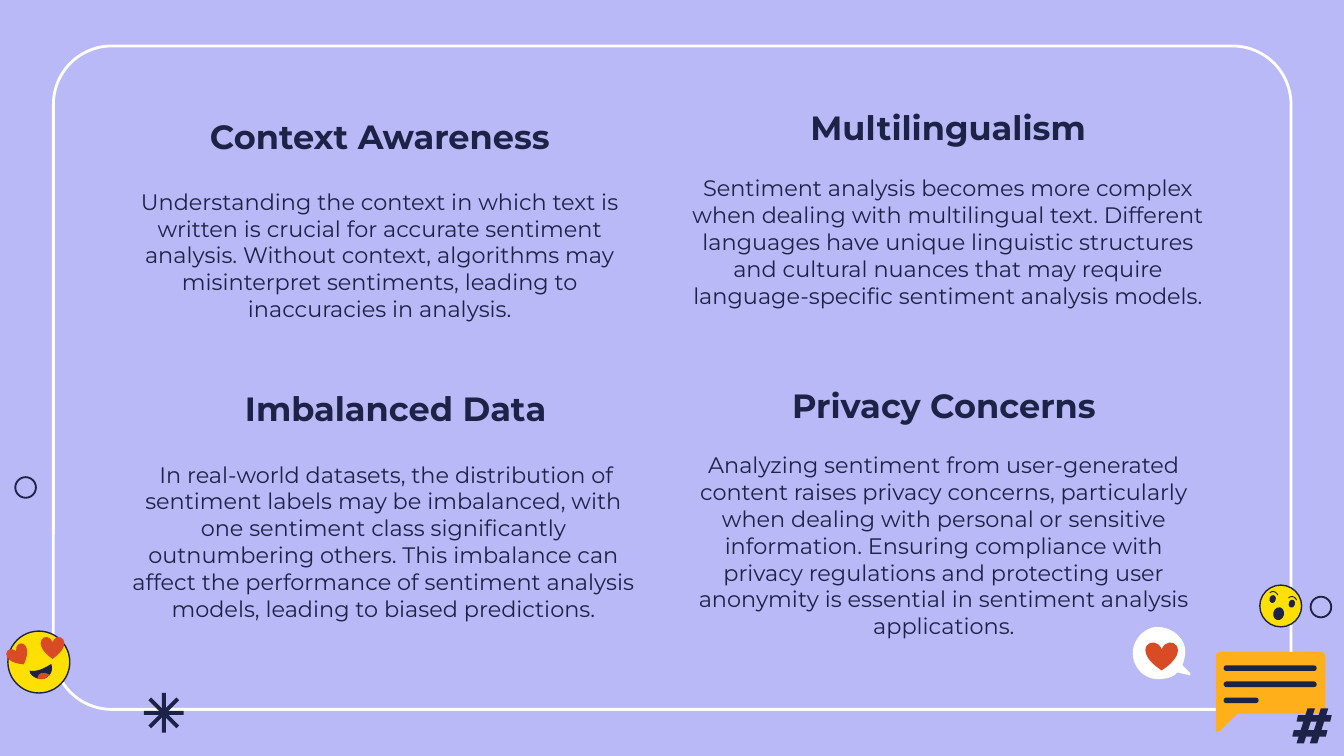
from dataclasses import dataclass

from pptx import Presentation
from pptx.dml.color import RGBColor
from pptx.enum.shapes import MSO_SHAPE
from pptx.enum.text import MSO_ANCHOR, PP_ALIGN
from pptx.util import Cm, Pt

RECTANGLE = MSO_SHAPE.RECTANGLE
ROUNDED = MSO_SHAPE.ROUNDED_RECTANGLE
OVAL = MSO_SHAPE.OVAL
HEART = MSO_SHAPE.HEART
TOP, BOTTOM = MSO_ANCHOR.TOP, MSO_ANCHOR.BOTTOM
CENTER = PP_ALIGN.CENTER

FONT = "Montserrat"
LAVENDER, WHITE, NAVY = "B9B9F7", "FFFFFF", "1D2346"
YELLOW, ORANGE, RED = "FFE002", "FFAF1A", "D84B25"

TEXT_WIDTH, HEADING_HEIGHT, BODY_HEIGHT = 10.34, 1.14, 3.48

# Heading, heading corner, body corner (cm), body text
TOPICS = [
    ("Context Awareness", (2.01, 2.06), (2.01, 3.3),
     "Understanding the context in which text is written is crucial for accurate "
     "sentiment analysis. Without context, algorithms may misinterpret sentiments, "
     "leading to inaccuracies in analysis."),
    ("Multilingualism", (12.75, 1.9), (12.75, 3.05),
     "Sentiment analysis becomes more complex when dealing with multilingual text. "
     "Different languages have unique linguistic structures and cultural nuances that "
     "may require language-specific sentiment analysis models."),
    ("Imbalanced Data", (2.31, 7.21), (2.08, 8.46),
     " In real-world datasets, the distribution of sentiment labels may be imbalanced, "
     "with one sentiment class significantly outnumbering others. This imbalance can "
     "affect the performance of sentiment analysis models, leading to biased predictions."),
    ("Privacy Concerns", (12.67, 7.14), (12.67, 8.28),
     "Analyzing sentiment from user-generated content raises privacy concerns, "
     "particularly when dealing with personal or sensitive information. Ensuring "
     "compliance with privacy regulations and protecting user anonymity is essential "
     "in sentiment analysis applications."),
]


@dataclass
class Box:
    """A rectangle in centimetres."""
    left: float
    top: float
    width: float
    height: float

    def point(self, x, y):
        """Turn fractions of the box into a position on the page."""
        return Cm(self.left + x * self.width), Cm(self.top + y * self.height)

    def inner(self, x, y, width, height):
        """Turn fractions of the box into a smaller box."""
        return Box(self.left + x * self.width, self.top + y * self.height,
                   width * self.width, height * self.height)

    def lengths(self):
        return Cm(self.left), Cm(self.top), Cm(self.width), Cm(self.height)


def color(value):
    return RGBColor.from_string(value)


def paint(shape, fill=None, line=None, weight=0.75):
    shape.shadow.inherit = False
    if fill:
        shape.fill.solid()
        shape.fill.fore_color.rgb = color(fill)
    else:
        shape.fill.background()
    if line:
        shape.line.color.rgb = color(line)
        shape.line.width = Pt(weight)
    else:
        shape.line.fill.background()


def add_preset(page, kind, box, fill=None, line=None, weight=0.75, rotation=0):
    shape = page.shapes.add_shape(kind, *box.lengths())
    shape.rotation = rotation
    paint(shape, fill, line, weight)
    return shape


def add_outline(page, box, start, steps, fill=None, line=None, weight=0.75):
    """Draw steps of 2 numbers (line) or 6 (Bézier curve), as fractions of the box."""
    points, (x0, y0) = [], start
    for step in steps:
        if len(step) == 6:
            x1, y1, x2, y2, x3, y3 = step
            for t in (i / 12 for i in range(1, 12)):
                a, b, c, d = (1 - t) ** 3, 3 * t * (1 - t) ** 2, 3 * t * t * (1 - t), t ** 3
                points.append((a * x0 + b * x1 + c * x2 + d * x3,
                               a * y0 + b * y1 + c * y2 + d * y3))
        x0, y0 = step[-2:]
        points.append((x0, y0))
    builder = page.shapes.build_freeform(*box.point(*start))
    builder.add_line_segments([box.point(*point) for point in points], close=fill is not None)
    paint(builder.convert_to_shape(), fill, line, weight)


def add_text(page, box, text, size, bold, anchor):
    frame = page.shapes.add_textbox(*box.lengths()).text_frame
    frame.word_wrap = True
    frame.vertical_anchor = anchor
    frame.margin_left = frame.margin_right = Cm(0.25)
    frame.margin_top = frame.margin_bottom = Cm(0.25)
    para = frame.paragraphs[0]
    para.alignment = CENTER
    span = para.add_run()
    span.text = text
    span.font.name, span.font.size, span.font.bold = FONT, Pt(size), bold
    span.font.color.rgb = color(NAVY)


def add_frame(page, box):
    frame = add_preset(page, ROUNDED, box, line=WHITE, weight=1.5)
    frame.adjustments[0] = 0.088


def add_loving_face(page, box):
    add_preset(page, OVAL, box, YELLOW, NAVY)
    add_preset(page, HEART, box.inner(0, 0.23, 0.35, 0.33), RED, rotation=-30)
    add_preset(page, HEART, box.inner(0.53, 0.09, 0.38, 0.36), RED)
    add_outline(page, box, (0.7, 0.53), [
        (0.74, 0.64, 0.68, 0.73, 0.59, 0.77), (0.48, 0.79, 0.4, 0.74, 0.36, 0.68),
        (0.35, 0.64), (0.48, 0.66, 0.59, 0.6, 0.7, 0.53)], NAVY)
    add_outline(page, box, (0.55, 0.68), [
        (0.59, 0.67, 0.63, 0.68, 0.68, 0.71), (0.63, 0.74, 0.62, 0.75, 0.59, 0.77),
        (0.55, 0.78, 0.51, 0.78, 0.48, 0.77), (0.48, 0.72, 0.51, 0.68, 0.55, 0.68)], RED)


def add_surprised_face(page, box):
    add_preset(page, OVAL, box, YELLOW, NAVY)
    for feature in ((0.32, 0.53, 0.26, 0.31), (0.69, 0.35, 0.15, 0.19), (0.23, 0.24, 0.15, 0.19)):
        add_preset(page, OVAL, box.inner(*feature), NAVY, rotation=14)
    for x, y in ((0.24, 0.19), (0.69, 0.31)):
        brow = (x + 0.05, y - 0.06, x + 0.15, y - 0.04, x + 0.19, y + 0.05)
        add_outline(page, box, (x, y), [brow], line=NAVY, weight=0.5)


def add_message(page, box):
    add_outline(page, box, (1, 0.07), [
        (1, 0.7), (1, 0.74, 0.98, 0.77, 0.95, 0.77),
        (0.22, 0.77), (0.21, 0.77, 0.2, 0.77, 0.19, 0.78),
        (0.04, 0.98), (0.02, 1, 0, 1, 0, 0.97),
        (0, 0.07), (0, 0.03, 0.01, 0, 0.05, 0),
        (0.95, 0), (0.98, 0, 1, 0.03, 1, 0.07)], ORANGE)
    for row, width in enumerate((0.85, 0.85, 0.32)):
        bar = add_preset(page, ROUNDED, box.inner(0.07, 0.17 + 0.2 * row, width, 0.07), NAVY)
        bar.adjustments[0] = 0.5


def add_hash(page, box):
    for x in (0.38, 0.72):
        add_outline(page, box, (x, 0),
                    [(x + 0.19, 0), (x - 0.09, 1), (x - 0.28, 1), (x, 0)], NAVY)
    for x, y in ((0.14, 0.19), (0.03, 0.62)):
        add_outline(page, box, (x, y), [(x + 0.86, y), (x + 0.82, y + 0.19),
                                        (x - 0.04, y + 0.19), (x, y)], NAVY)


def add_asterisk(page, box):
    for angle in (0, 45, 90, 135):
        add_preset(page, RECTANGLE, box.inner(0, 0.45, 1, 0.1), NAVY, rotation=angle)


def add_like(page, box):
    add_outline(page, box, (0.35, 0), [
        (0.56, -0.04, 0.77, 0.08, 0.86, 0.26), (0.94, 0.41, 0.91, 0.57, 0.86, 0.72),
        (1, 0.88), (1, 0.91, 0.98, 0.93, 0.97, 0.91),
        (0.77, 0.86), (0.72, 0.93, 0.63, 0.97, 0.53, 0.98),
        (0.33, 1.02, 0.14, 0.92, 0.05, 0.72), (-0.09, 0.44, 0.07, 0.08, 0.35, 0)], WHITE)
    add_preset(page, HEART, box.inner(0.22, 0.28, 0.56, 0.54), RED)


def add_topic(page, heading_box, body_box, heading, body):
    add_text(page, body_box, body, 12, False, TOP)
    add_text(page, heading_box, heading, 18, True, BOTTOM)


def main():
    deck = Presentation()
    deck.slide_width, deck.slide_height = Cm(25.4), Cm(14.29)
    page = deck.slides.add_slide(deck.slide_layouts[6])
    page.background.fill.solid()
    page.background.fill.fore_color.rgb = color(LAVENDER)

    add_frame(page, Box(1.01, 0.87, 23.39, 12.54))
    add_loving_face(page, Box(0.15, 11.93, 1.17, 1.17))
    add_surprised_face(page, Box(23.81, 11.06, 0.79, 0.79))
    add_message(page, Box(22.98, 12.32, 2.07, 1.52))
    add_hash(page, Box(24.43, 13.39, 0.74, 0.66))
    for left, top in ((24.77, 11.28), (0.29, 9.02)):
        add_preset(page, OVAL, Box(left, top, 0.39, 0.39), line=NAVY, weight=1)
    add_asterisk(page, Box(2.72, 13.1, 0.75, 0.75))
    for heading, heading_corner, body_corner, body in TOPICS:
        add_topic(page, Box(*heading_corner, TEXT_WIDTH, HEADING_HEIGHT),
                  Box(*body_corner, TEXT_WIDTH, BODY_HEIGHT), heading, body)
    add_like(page, Box(21.41, 11.86, 1.09, 0.99))

    deck.save("out.pptx")


if __name__ == "__main__":
    main()
